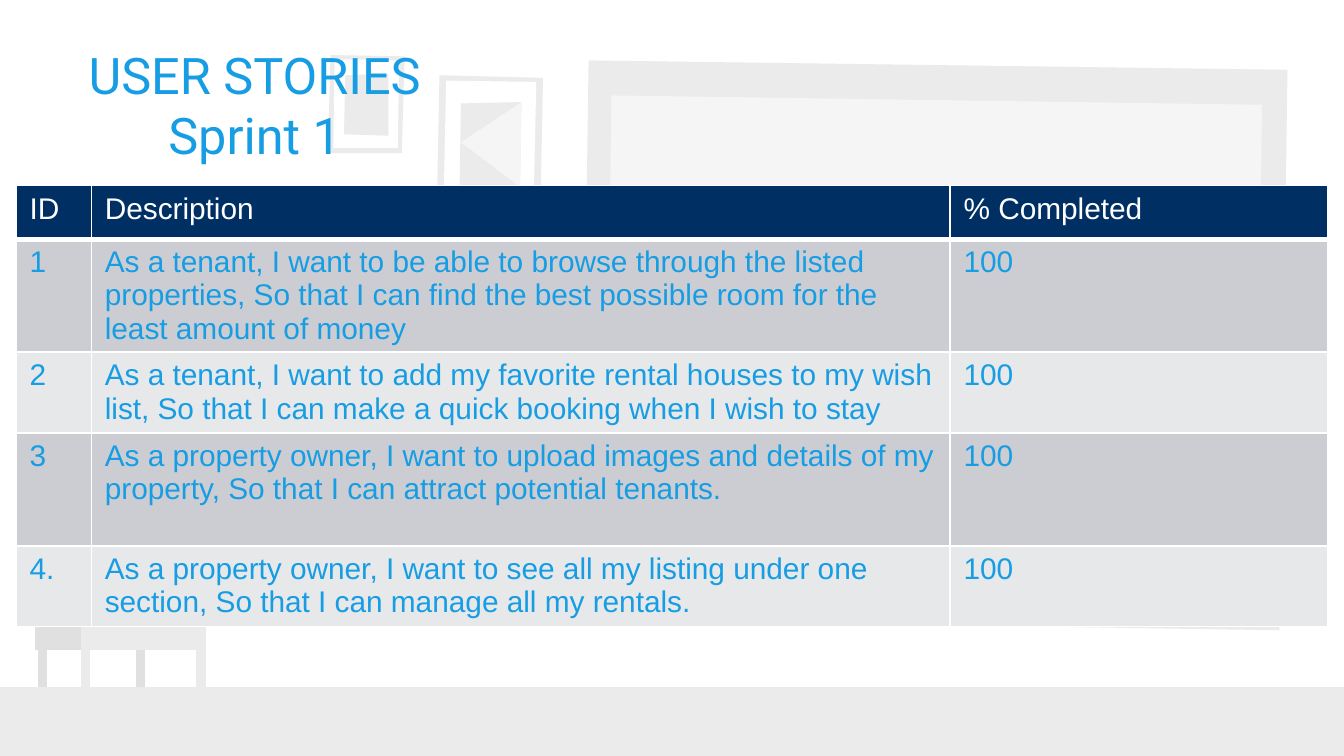
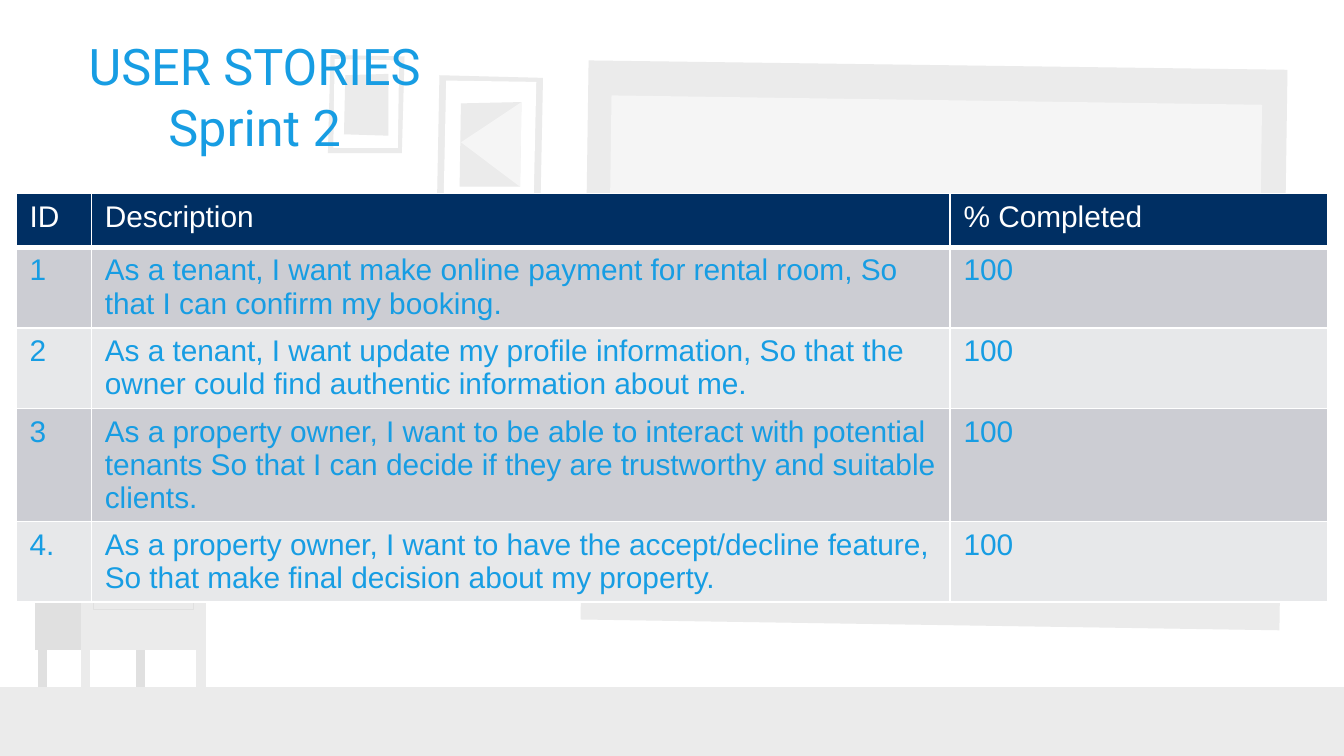
from lxml import etree
from pptx import Presentation
from pptx.dml.color import RGBColor
from pptx.enum.text import MSO_ANCHOR, MSO_AUTO_SIZE, PP_ALIGN
from pptx.oxml.ns import qn
from pptx.util import Inches, Pt

MIDDLE = MSO_ANCHOR.MIDDLE
NO_FIT = MSO_AUTO_SIZE.NONE
CENTER = PP_ALIGN.CENTER

COLORS = {
    "white": "FFFFFF", "pale": "F5F5F5", "light": "EBEBEB", "shade": "E0E0E0",
    "text": "179DE3", "header": "002F63", "odd": "CCCDD3", "even": "E7E8EA",
}
TITLE_FONT, TABLE_FONT = "Roboto", "Arial"

HEADINGS = ("ID", "Description", "% Completed")
COLUMN_WIDTHS = (0.56, 6.39, 2.81)
HEADER_HEIGHT = 0.4
ROW_HEIGHTS = {2: 0.6, 3: 0.84}  # by lines of text

# Each story: ID, description, % completed, lines of text
SPRINTS = [
    {
        "title": ("USER STORIES", "Sprint 1"), "title_top": 0.37, "table_top": 1.38,
        "stories": [
            ("1", "As a tenant, I want to be able to browse through the listed properties, "
                  "So that I can find the best possible room for the least amount of money", "100", 3),
            ("2", "As a tenant, I want to add my favorite rental houses to my wish list, "
                  "So that I can make a quick booking when I wish to stay", "100", 2),
            ("3", "As a property owner, I want to upload images and details of my property, "
                  "So that I can attract potential tenants.", "100", 3),
            ("4.", "As a property owner, I want to see all my listing under one section, "
                   "So that I can manage all my rentals.", "100", 2),
        ],
    },
    {
        "title": ("USER STORIES", "Sprint 2"), "title_top": 0.31, "table_top": 1.44,
        "stories": [
            ("1", "As a tenant, I want make online payment for rental room, "
                  "So that I can confirm my booking.", "100", 2),
            ("2", "As a tenant, I want update my profile information, "
                  "So that the owner could find authentic information about me.", "100", 2),
            ("3", "As a property owner, I want to be able to interact with potential tenants "
                  "So that I can decide if they are trustworthy and suitable clients.", "100", 3),
            ("4.", "As a property owner, I want to have the accept/decline feature, "
                   "So that make final decision about my property.", "100", 2),
        ],
    },
]


def rectangle(left, top, width, height):
    right, bottom = left + width, top + height
    return [(left, top), (right, top), (right, bottom), (left, bottom)]


def book(top):
    """Outline of a lying book with a rounded spine."""
    middle, bottom = top + 0.07, top + 0.13
    return [(0.36, top), (0.93, top), (0.97, top, 1, top + 0.03, 1, middle),
            (1, top + 0.1, 0.97, bottom, 0.93, bottom), (0.36, bottom)]


# Room scene, back to front: two numbers are a corner, six a Bézier curve
ROOM = [
    ("light", rectangle(0, 5.11, 10, 0.52)),
    # large picture frame
    ("light", [(3.27, 0.56), (3.25, 1.58), (4.02, 1.58), (4.04, 0.58)]),
    ("white", [(3.32, 0.6), (3.3, 1.53), (3.97, 1.52), (3.99, 0.61)]),
    ("light", [(3.88, 0.76), (3.43, 0.77), (3.42, 1.39), (3.87, 1.39)]),
    ("pale", [(3.88, 0.76), (3.43, 1.06), (3.87, 1.39)]),
    # small picture frame
    ("light", [(2.46, 0.41), (2.44, 1.14), (2.99, 1.14), (3.01, 0.42)]),
    ("white", [(2.49, 0.44), (2.48, 1.1), (2.96, 1.1), (2.97, 0.45)]),
    ("light", [(2.89, 0.55), (2.57, 0.56), (2.56, 1), (2.89, 1.01)]),
    # board
    ("light", [(4.38, 0.45), (4.32, 4.61), (9.52, 4.69), (9.58, 0.52)]),
    # cabinet: legs, front, side, knob
    *[(color, rectangle(left, 4.84, 0.07, 0.27)) for color, left in
      (("light", 1.46), ("light", 0.6), ("shade", 1.01), ("shade", 0.28))],
    ("light", rectangle(0.6, 4.22, 0.93, 0.62)),
    ("shade", rectangle(0.26, 4.22, 0.34, 0.62)),
    ("shade", [(1.06, 4.4), (1.09, 4.4, 1.1, 4.43, 1.08, 4.45),
               (1.08, 4.46, 1.07, 4.46, 1.06, 4.46), (1.04, 4.46, 1.03, 4.45, 1.03, 4.43),
               (1.03, 4.41, 1.04, 4.4, 1.06, 4.4)]),
    # vase and books
    ("pale", [(1.39, 3.98), (1.35, 4.03), (1.35, 4.03, 1.43, 4.06, 1.43, 4.13),
              (1.43, 4.2, 1.38, 4.22, 1.33, 4.22), (1.27, 4.22, 1.22, 4.2, 1.22, 4.13),
              (1.23, 4.05, 1.29, 4.03, 1.29, 4.03), (1.26, 3.98)]),
    ("shade", book(4.08)),
    ("white", rectangle(0.36, 4.11, 0.22, 0.07)),
    ("pale", book(3.95)),
    ("shade", rectangle(0.36, 3.98, 0.22, 0.08)),
    # board surface
    ("pale", [(4.55, 0.71), (4.5, 4.35), (9.34, 4.42), (9.39, 0.78)]),
]
DRAWER = rectangle(0.69, 4.33, 0.75, 0.2)


def rgb(name):
    return RGBColor.from_string(COLORS[name])


def flatten(outline, steps=6):
    """Turn corners and Bézier curves into plain points."""
    points = []
    for item in outline:
        if len(item) == 2:
            points.append(item)
            continue
        knots = [points[-1], item[:2], item[2:4], item[4:]]
        for step in range(1, steps + 1):
            t = step / steps
            weights = ((1 - t) ** 3, 3 * t * (1 - t) ** 2, 3 * t * t * (1 - t), t ** 3)
            points.append(tuple(sum(w * knot[axis] for w, knot in zip(weights, knots))
                                for axis in (0, 1)))
    return points


def draw_outline(page, outline):
    points = [(Inches(x), Inches(y)) for x, y in flatten(outline)]
    builder = page.shapes.build_freeform(*points[0])
    builder.add_line_segments(points[1:], close=True)
    shape = builder.convert_to_shape()
    shape.shadow.inherit = False
    return shape


def furnish_layout(layout, page):
    """Draw the room on a page, then move it to the layout that all pages share."""
    parts = []
    for color, outline in ROOM:
        part = draw_outline(page, outline)
        part.fill.solid()
        part.fill.fore_color.rgb = rgb(color)
        part.line.fill.background()
        parts.append(part)
    drawer = draw_outline(page, DRAWER)
    drawer.fill.background()
    drawer.line.color.rgb = rgb("shade")
    drawer.line.width = Pt(0.25)
    parts.append(drawer)
    for number, part in enumerate(parts, start=100):
        part._element.nvSpPr.cNvPr.set("id", str(number))
        layout.shapes._spTree.append(part._element)


def add_span(para, text, font, size, color):
    span = para.add_run()
    span.text = text
    span.font.name = font
    span.font.size = Pt(size)
    span.font.color.rgb = rgb(color)


def set_title(page, lines, top):
    box = page.shapes.title
    box.left, box.top, box.width, box.height = map(Inches, (0.28, top, 3.23, 0.81))
    frame = box.text_frame
    frame.word_wrap = True
    frame.auto_size = NO_FIT
    frame.vertical_anchor = MIDDLE
    frame.margin_left = frame.margin_right = Inches(0.1)
    frame.margin_top = frame.margin_bottom = Inches(0.1)
    para = frame.paragraphs[0]
    para.alignment = CENTER
    for index, line in enumerate(lines):
        if index:
            para.add_line_break()
        add_span(para, line, TITLE_FONT, 27, "text")


def set_borders(cell, bottom_width):
    properties = cell._tc.get_or_add_tcPr()
    for side, width in (("L", 1), ("R", 1), ("T", 1), ("B", bottom_width)):
        line = etree.SubElement(properties, qn("a:ln" + side), w=str(Pt(width)))
        fill = etree.SubElement(line, qn("a:solidFill"))
        etree.SubElement(fill, qn("a:srgbClr"), val=COLORS["white"])


def add_stories(page, stories, top):
    heights = [HEADER_HEIGHT] + [ROW_HEIGHTS[story[3]] for story in stories]
    rows = [HEADINGS] + [story[:3] for story in stories]
    table = page.shapes.add_table(
        len(rows), len(HEADINGS), Inches(0.12), Inches(top),
        Inches(sum(COLUMN_WIDTHS)), Inches(sum(heights))).table
    for column, width in zip(table.columns, COLUMN_WIDTHS):
        column.width = Inches(width)
    for index, (values, height) in enumerate(zip(rows, heights)):
        table.rows[index].height = Inches(height)
        is_header = index == 0
        fill = "header" if is_header else "odd" if index % 2 else "even"
        for column, value in enumerate(values):
            cell = table.cell(index, column)
            set_borders(cell, 3 if is_header else 1)
            cell.fill.solid()
            cell.fill.fore_color.rgb = rgb(fill)
            para = cell.text_frame.paragraphs[0]
            add_span(para, value, TABLE_FONT, 16, "white" if is_header else "text")


def main():
    deck = Presentation()
    deck.slide_width = Inches(10)
    deck.slide_height = deck.slide_width * 9 // 16
    layout = deck.slide_layouts.get_by_name("Title Only")
    pages = [deck.slides.add_slide(layout) for _ in SPRINTS]
    furnish_layout(layout, pages[0])
    for page, sprint in zip(pages, SPRINTS):
        set_title(page, sprint["title"], sprint["title_top"])
        add_stories(page, sprint["stories"], sprint["table_top"])
    deck.save("out.pptx")


if __name__ == "__main__":
    main()
